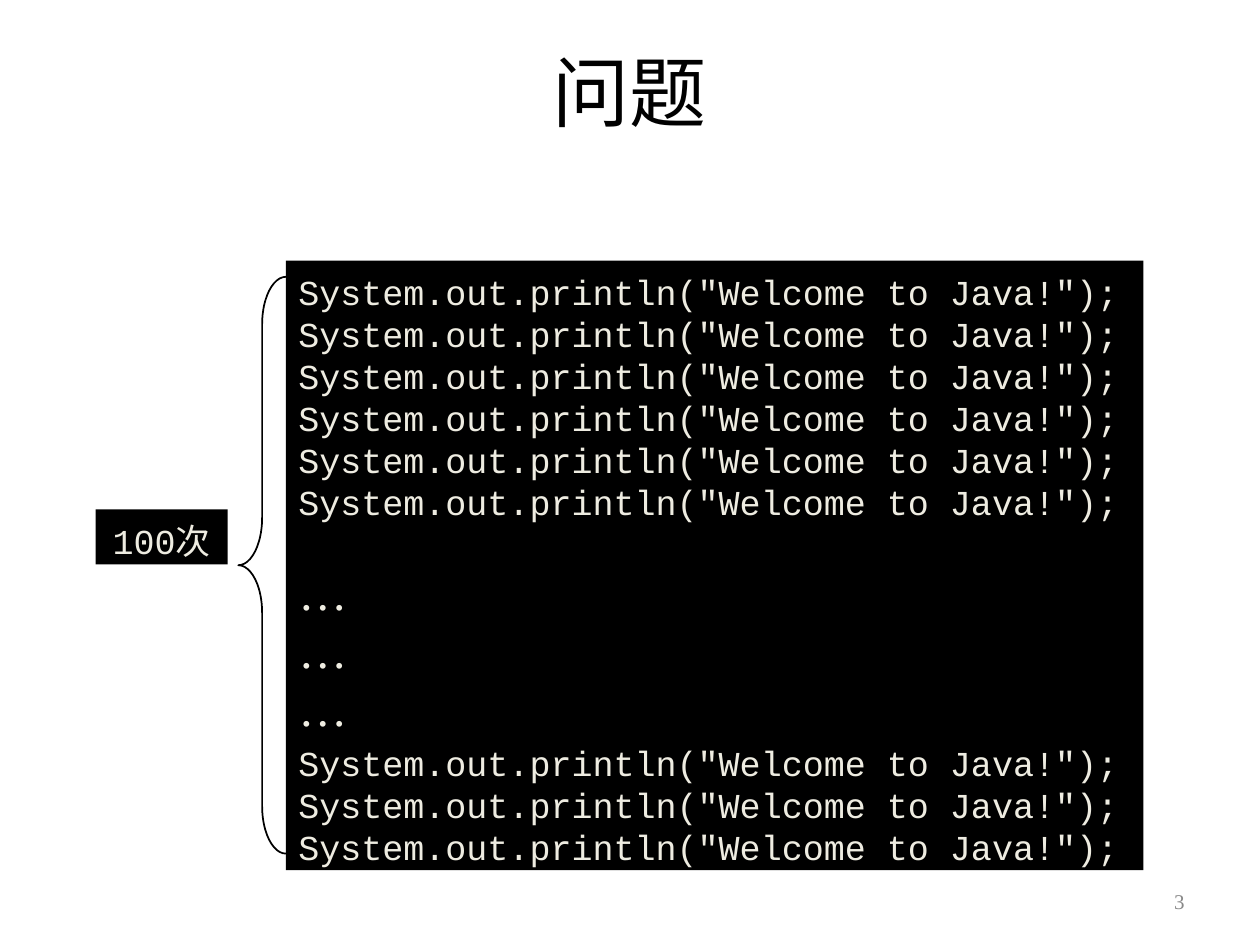
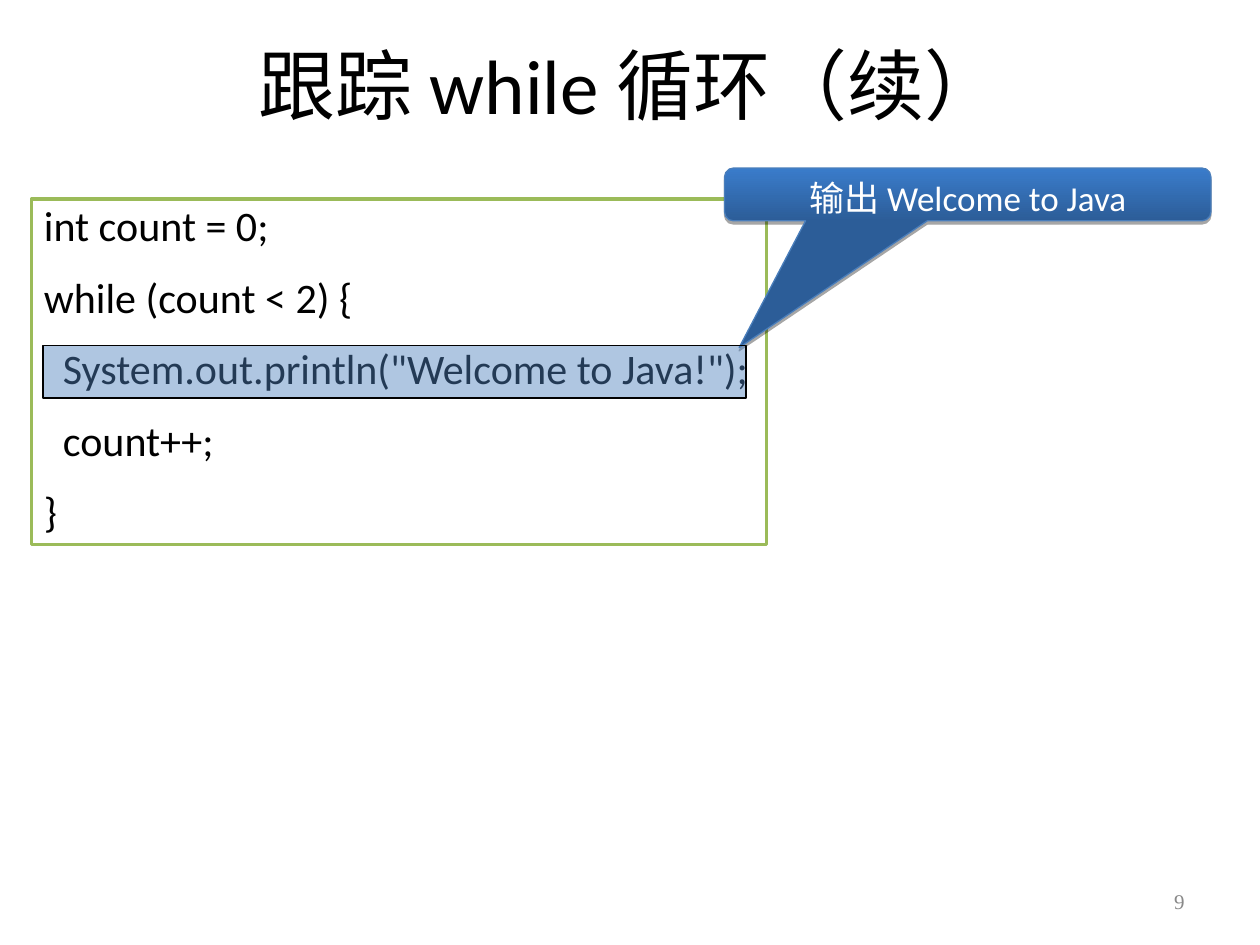
from dataclasses import dataclass, field
from typing import Any, Optional

import lxml.etree
import pptx
import pptx.dml.color
import pptx.enum.shapes
import pptx.enum.text
import pptx.oxml
import pptx.oxml.ns
import pptx.util

Pt = pptx.util.Pt
RGBColor = pptx.dml.color.RGBColor
Shape = pptx.enum.shapes.MSO_SHAPE
Anchor = pptx.enum.text.MSO_ANCHOR
Align = pptx.enum.text.PP_ALIGN

BLACK = RGBColor(0x00, 0x00, 0x00)
WHITE = RGBColor(0xFF, 0xFF, 0xFF)
CREAM = RGBColor(0xEE, 0xEC, 0xE1)
GRAY = RGBColor(0x89, 0x89, 0x89)
GREEN = RGBColor(0x9B, 0xBB, 0x59)
BLUE = RGBColor(0x4F, 0x81, 0xBD)
CALLOUT_EDGE = RGBColor(0x4A, 0x7E, 0xBB)
CALLOUT_DARK = RGBColor(0x2C, 0x5D, 0x98)
CALLOUT_LIGHT = RGBColor(0x3A, 0x7C, 0xCB)

PRINT_LINE = 'System.out.println("Welcome to Java!");'


@dataclass(frozen=True)
class TextStyle:
    font: str
    size: float
    color: RGBColor
    paragraph: dict[str, Any] = field(default_factory=dict)


@dataclass(frozen=True)
class Line:
    text: str
    style: TextStyle
    space_before: float = 0


@dataclass(frozen=True)
class Box:
    left: float
    top: float
    width: float
    height: float
    kind: Any = Shape.RECTANGLE
    fill: Optional[RGBColor] = None
    edge: Optional[RGBColor] = None
    edge_width: float = 1
    adjustments: tuple[float, ...] = ()
    lines: tuple[Line, ...] = ()
    top_inset: float = 3.6


TITLE = TextStyle("Calibri", 44, BLACK, {"alignment": Align.CENTER})
NUMBER = TextStyle("Times New Roman", 12, GRAY, {"alignment": Align.RIGHT})
CONSOLE = TextStyle("Courier New", 20, CREAM,
                    {"alignment": Align.LEFT, "line_spacing": Pt(24)})
DOTS = TextStyle("Times New Roman", 28, CREAM,
                 {"alignment": Align.LEFT, "line_spacing": Pt(33)})
COUNT = TextStyle("Courier New", 20, CREAM,
                  {"alignment": Align.CENTER, "line_spacing": Pt(24)})
LOOP = TextStyle("Calibri", 24, BLACK, {"alignment": Align.LEFT, "line_spacing": 0.9})
CALLOUT = TextStyle("Calibri", 20, WHITE, {"alignment": Align.CENTER})


def apply(target: Any, values: dict[str, Any]) -> None:
    for name, value in values.items():
        setattr(target, name, value)


def write_lines(text_frame: Any, lines: tuple[Line, ...]) -> None:
    for index, line in enumerate(lines):
        paragraph = text_frame.add_paragraph() if index else text_frame.paragraphs[0]
        style = line.style
        apply(paragraph, style.paragraph)
        if line.space_before:
            paragraph.space_before = Pt(line.space_before)
        run = paragraph.add_run()
        run.text = line.text
        apply(run.font, {"name": style.font, "size": Pt(style.size)})
        run.font.color.rgb = style.color


def format_frame(text_frame: Any, anchor: Any, top_inset: float = 3.6) -> None:
    apply(text_frame, {
        "word_wrap": True, "auto_size": pptx.enum.text.MSO_AUTO_SIZE.NONE,
        "vertical_anchor": anchor, "margin_left": Pt(7.2), "margin_right": Pt(7.2),
        "margin_top": Pt(top_inset), "margin_bottom": Pt(3.6)})


def add_box(slide: Any, box: Box) -> Any:
    shape = slide.shapes.add_shape(
        box.kind, Pt(box.left), Pt(box.top), Pt(box.width), Pt(box.height))
    shape.shadow.inherit = False
    for index, value in enumerate(box.adjustments):
        shape.adjustments[index] = value
    if box.fill is None:
        shape.fill.background()
    else:
        shape.fill.solid()
        shape.fill.fore_color.rgb = box.fill
    if box.edge is None:
        shape.line.fill.background()
    else:
        shape.line.color.rgb = box.edge
        shape.line.width = Pt(box.edge_width)
    if box.lines:
        format_frame(shape.text_frame, Anchor.TOP, box.top_inset)
        write_lines(shape.text_frame, box.lines)
    return shape


def add_slide(presentation: Any, title: str, title_height: float, number: int) -> Any:
    slide = presentation.slides.add_slide(presentation.slide_layouts[5])
    heading = slide.shapes.title
    apply(heading, {"left": Pt(54), "top": Pt(18),
                    "width": Pt(612), "height": Pt(title_height)})
    format_frame(heading.text_frame, Anchor.MIDDLE)
    write_lines(heading.text_frame, (Line(title, TITLE),))
    footer = slide.shapes.add_textbox(Pt(516), Pt(500.5), Pt(168), Pt(28.8))
    format_frame(footer.text_frame, Anchor.MIDDLE)
    write_lines(footer.text_frame, (Line(str(number), NUMBER),))
    return slide


def set_opacity(shape: Any, percent: int) -> None:
    color = shape.fill._xPr.find(".//" + pptx.oxml.ns.qn("a:srgbClr"))
    alpha = lxml.etree.SubElement(color, pptx.oxml.ns.qn("a:alpha"))
    alpha.set("val", str(percent * 1000))


def style_callout(shape: Any) -> None:
    shape.fill.gradient()
    shape.fill.gradient_angle = 90
    for stop, color in zip(shape.fill.gradient_stops, (CALLOUT_DARK, CALLOUT_LIGHT)):
        stop.color.rgb = color
    effects = shape._element.spPr.find(pptx.oxml.ns.qn("a:effectLst"))
    effects.append(pptx.oxml.parse_xml(
        f'<a:outerShdw {pptx.oxml.ns.nsdecls("a")} blurRad="0" dist="{Pt(1.8)}" '
        'dir="5400000" rotWithShape="0"><a:srgbClr val="000000">'
        '<a:alpha val="35000"/></a:srgbClr></a:outerShdw>'))


def build_problem(presentation: Any) -> None:
    slide = add_slide(presentation, "问题", 67.5, 3)
    print_line = Line(PRINT_LINE, CONSOLE)
    dots = Line("…", DOTS)
    code = ((print_line,) * 6 + (Line("…", DOTS, 23), dots, dots)
            + (Line(PRINT_LINE, CONSOLE, 3), print_line, print_line))
    add_box(slide, Box(163.4, 149, 490, 348.3, fill=BLACK, lines=code, top_inset=5.6))
    add_box(slide, Box(136.2, 158.2, 27.2, 329.6, Shape.LEFT_BRACE,
                       edge=BLACK, adjustments=(1, 0.5)))
    add_box(slide, Box(54.7, 291, 75.4, 31.5, fill=BLACK,
                       lines=(Line("100次", COUNT),), top_inset=5.6))


def build_trace(presentation: Any) -> None:
    slide = add_slide(presentation, "跟踪 while 循环（续）", 60, 9)
    code = ("int count = 0;", "while (count < 2) {", "  " + PRINT_LINE, "  count++;", "}")
    lines = tuple(Line(text, LOOP, 15 if index else 0) for index, text in enumerate(code))
    add_box(slide, Box(18, 113.8, 420, 197.3, fill=WHITE, edge=GREEN,
                       edge_width=2, lines=lines))
    callout = add_box(slide, Box(
        414, 96, 278, 30.2, Shape.ROUNDED_RECTANGULAR_CALLOUT, edge=CALLOUT_EDGE,
        edge_width=0.75, adjustments=(-0.47, 2.9, 0.17),
        lines=(Line("输出 Welcome to Java", CALLOUT),)))
    style_callout(callout)
    highlight = add_box(slide, Box(24.4, 197.4, 401.8, 30.2, fill=BLUE, edge=BLACK))
    set_opacity(highlight, 45)


def main() -> None:
    presentation = pptx.Presentation()
    apply(presentation, {"slide_width": Pt(720), "slide_height": Pt(540)})
    build_problem(presentation)
    build_trace(presentation)
    presentation.save("out.pptx")


if __name__ == "__main__":
    main()
